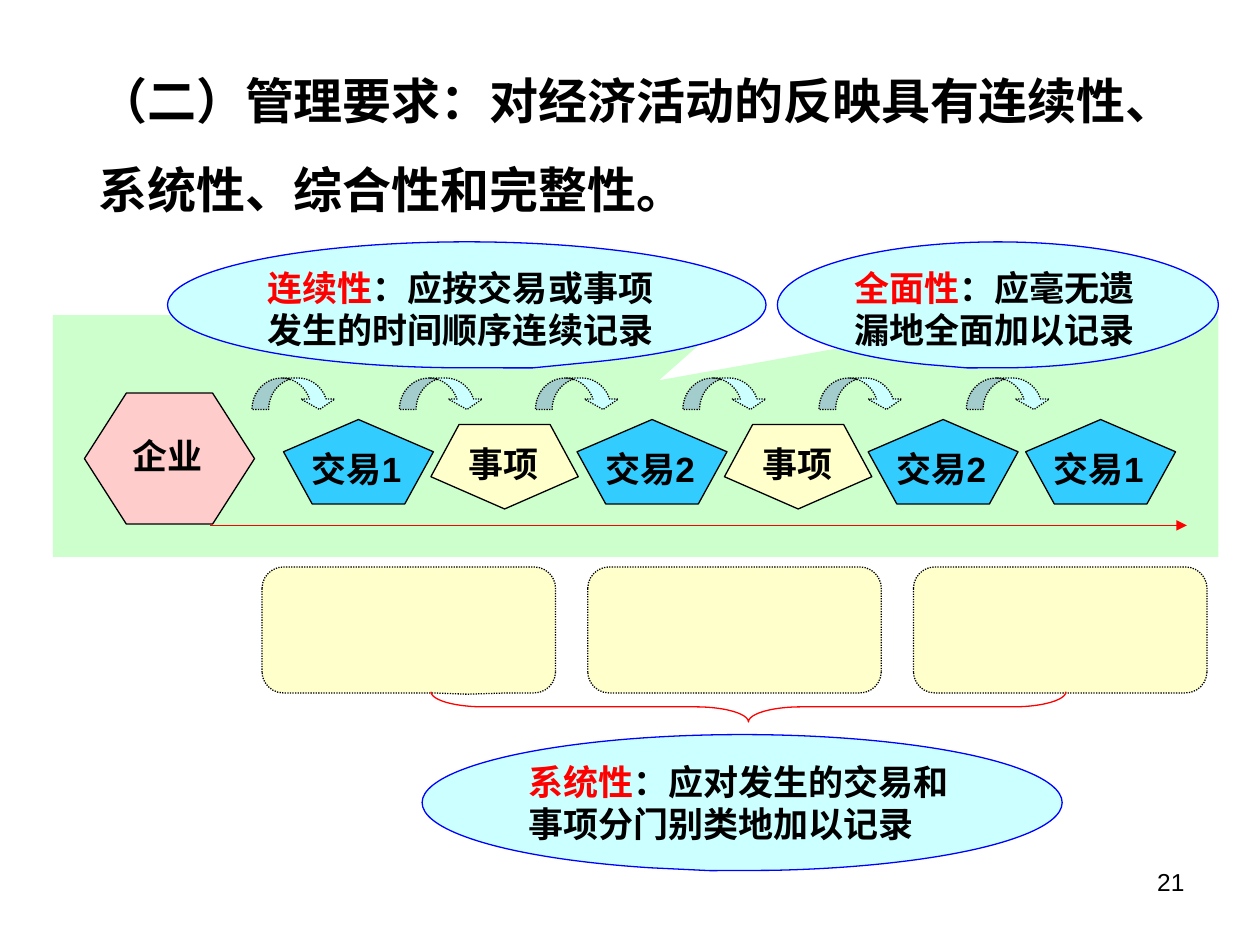
from dataclasses import dataclass
from typing import Optional

import pptx
import pptx.dml.color
import pptx.enum.dml
import pptx.enum.shapes
import pptx.enum.text
import pptx.oxml
import pptx.oxml.ns
import pptx.util

Inches = pptx.util.Inches
Pt = pptx.util.Pt
SHAPES = pptx.enum.shapes.MSO_SHAPE
ALIGN = pptx.enum.text.PP_ALIGN


@dataclass(frozen=True)
class Theme:
    ink: str = "000000"
    red: str = "FF0000"
    blue: str = "0000FF"
    band: str = "CCFFCC"
    company: str = "FFCCCC"
    event: str = "FFFFCC"
    transaction: str = "33CCFF"
    bubble: str = "CCFFFF"
    sans: str = "Arial"
    serif: str = "Times New Roman"
    title_size: int = 28
    body_size: int = 20
    number_size: int = 14
    line_width: float = 0.75


THEME = Theme()


@dataclass(frozen=True)
class Area:
    left: float
    top: float
    width: float
    height: float

    def lengths(self) -> tuple:
        return tuple(Inches(n) for n in (self.left, self.top, self.width, self.height))


@dataclass(frozen=True)
class Bubble:
    keyword: str
    explanation: str
    area: Area
    tip: tuple


@dataclass(frozen=True)
class Step:
    label: str
    left: float
    is_event: bool = False


BUBBLES = (
    Bubble("系统性", "：应对发生的交易和事项分门别类地加以记录",
           Area(3.35, 5.83, 5.08, 1.08), (-0.05, 0.5)),
    Bubble("连续性", "：应按交易或事项发生的时间顺序连续记录",
           Area(1.33, 1.92, 4.75, 1), (0.11, 0.5)),
    Bubble("全面性", "：应毫无遗漏地全面加以记录",
           Area(6.17, 1.92, 3.5, 1), (-0.07, 0.5)),
)
STEPS = (
    Step("事项", 3.42, True),
    Step("事项", 5.75, True),
    Step("交易1", 2.25),
    Step("交易2", 4.58),
    Step("交易2", 6.89),
    Step("交易1", 8.14),
)
RECORD_TIPS = ((0.2, 0.51), (0.17, 0.5), (0.16, 0.5))


def rgb(color: str):
    return pptx.dml.color.RGBColor.from_string(color)


def format_span(span, size: int, font: str, color: str = THEME.ink, bold: bool = True) -> None:
    span.font.size = Pt(size)
    span.font.name = font
    span.font.bold = bold
    span.font.color.rgb = rgb(color)


def set_frame(frame) -> None:
    """Wrap the text and start it at the top, with a fixed shape size."""
    frame.word_wrap = True
    frame.auto_size = pptx.enum.text.MSO_AUTO_SIZE.NONE
    frame.vertical_anchor = pptx.enum.text.MSO_ANCHOR.TOP


def add_preset(page, preset, area: Area, fill: Optional[str] = None,
               line: Optional[str] = None, dotted: bool = False, adjustments: tuple = ()):
    shape = page.shapes.add_shape(preset, *area.lengths())
    shape.shadow.inherit = False
    for index, value in enumerate(adjustments):
        shape.adjustments[index] = value
    if fill:
        shape.fill.solid()
        shape.fill.fore_color.rgb = rgb(fill)
    else:
        shape.fill.background()
    if line:
        shape.line.color.rgb = rgb(line)
        shape.line.width = Pt(THEME.line_width)
        if dotted:
            shape.line.dash_style = pptx.enum.dml.MSO_LINE.ROUND_DOT
    else:
        shape.line.fill.background()
    return shape


def add_label(page, text: str, area: Area, font: str = THEME.sans, size: int = THEME.body_size,
              align=ALIGN.CENTER, bold: bool = True) -> None:
    box = page.shapes.add_textbox(*area.lengths())
    set_frame(box.text_frame)
    box.text_frame.text = text
    para = box.text_frame.paragraphs[0]
    para.alignment = align
    format_span(para.runs[0], size, font, bold=bold)


def add_title(page, text: str) -> None:
    title = page.shapes.title
    title.left, title.top, title.width, title.height = Area(0.68, 0.28, 8.74, 1.24).lengths()
    set_frame(title.text_frame)
    title.text_frame.text = text
    para = title.text_frame.paragraphs[0]
    para.alignment = ALIGN.LEFT
    para.line_spacing = 1.5
    format_span(para.runs[0], THEME.title_size, THEME.sans)


def add_bubble(page, bubble: Bubble) -> None:
    shape = add_preset(page, SHAPES.OVAL_CALLOUT, bubble.area, THEME.bubble, THEME.blue,
                       adjustments=bubble.tip)
    set_frame(shape.text_frame)
    para = shape.text_frame.paragraphs[0]
    para.alignment = ALIGN.LEFT
    for text, color in ((bubble.keyword, THEME.red), (bubble.explanation, THEME.ink)):
        span = para.add_run()
        span.text = text
        format_span(span, THEME.body_size, THEME.serif, color)


def add_step(page, step: Step) -> None:
    """Draw a labelled pentagon; events point down, transactions point up."""
    if step.is_event:
        area, fill, label_top = Area(step.left, 3.37, 1.17, 0.67), THEME.event, 3.46
    else:
        area, fill, label_top = Area(step.left, 3.33, 1.19, 0.67), THEME.transaction, 3.5
    pentagon = add_preset(page, SHAPES.REGULAR_PENTAGON, area, fill, THEME.ink)
    if step.is_event:
        pentagon.element.spPr.get_or_add_xfrm().set("flipV", "1")
    add_label(page, step.label, Area(step.left + 0.08, label_top, 1, 0.5))


def add_timeline(page) -> None:
    line = page.shapes.add_connector(pptx.enum.shapes.MSO_CONNECTOR.STRAIGHT,
                                     Inches(1.67), Inches(4.17), Inches(9.42), Inches(4.17))
    line.line.color.rgb = rgb(THEME.red)
    line.line.width = Pt(THEME.line_width)
    arrowhead = pptx.oxml.parse_xml(
        f'<a:tailEnd {pptx.oxml.ns.nsdecls("a")} type="triangle"/>')
    line.line._get_or_add_ln().append(arrowhead)
    line.element.spPr.append(
        pptx.oxml.parse_xml(f'<a:effectLst {pptx.oxml.ns.nsdecls("a")}/>'))


def main() -> None:
    deck = pptx.Presentation()
    deck.slide_width, deck.slide_height = Inches(10), Inches(7.5)
    page = deck.slides.add_slide(deck.slide_layouts[5])
    add_title(page, "（二）管理要求：对经济活动的反映具有连续性、系统性、综合性和完整性。")

    add_preset(page, SHAPES.RECTANGULAR_CALLOUT, Area(0.42, 2.5, 9.25, 1.92), THEME.band,
               adjustments=(0.02, -0.23))
    add_timeline(page)
    add_preset(page, SHAPES.HEXAGON, Area(0.67, 3.12, 1.35, 1.04), THEME.company, THEME.ink,
               adjustments=(0.32,))
    add_label(page, "企业", Area(0.83, 3.4, 1, 0.48), THEME.serif)

    for index, tip in enumerate(RECORD_TIPS):
        add_preset(page, SHAPES.ROUNDED_RECTANGULAR_CALLOUT,
                   Area(2.08 + 2.585 * index, 4.5, 2.33, 1), THEME.event, THEME.ink,
                   dotted=True, adjustments=(*tip, 0.17))

    # The upright brace is turned a quarter about its centre, so it points down.
    brace = add_preset(page, SHAPES.RIGHT_BRACE, Area(5.82, 3.09, 0.24, 5.04), line=THEME.red,
                       adjustments=(1.75, 0.5))
    brace.rotation = 90

    for pair in range(3):
        for offset in (0, 1.17):
            add_preset(page, SHAPES.CURVED_DOWN_ARROW,
                       Area(2 + 2.25 * pair + offset, 3, 0.67, 0.25), THEME.bubble, THEME.ink,
                       dotted=True, adjustments=(0.53, 1.07, 0.33))

    for bubble in BUBBLES:
        add_bubble(page, bubble)
    for step in STEPS:
        add_step(page, step)
    add_label(page, "21", Area(7.17, 6.83, 2.33, 0.52), size=THEME.number_size,
              align=ALIGN.RIGHT, bold=False)
    deck.save("out.pptx")


if __name__ == "__main__":
    main()
